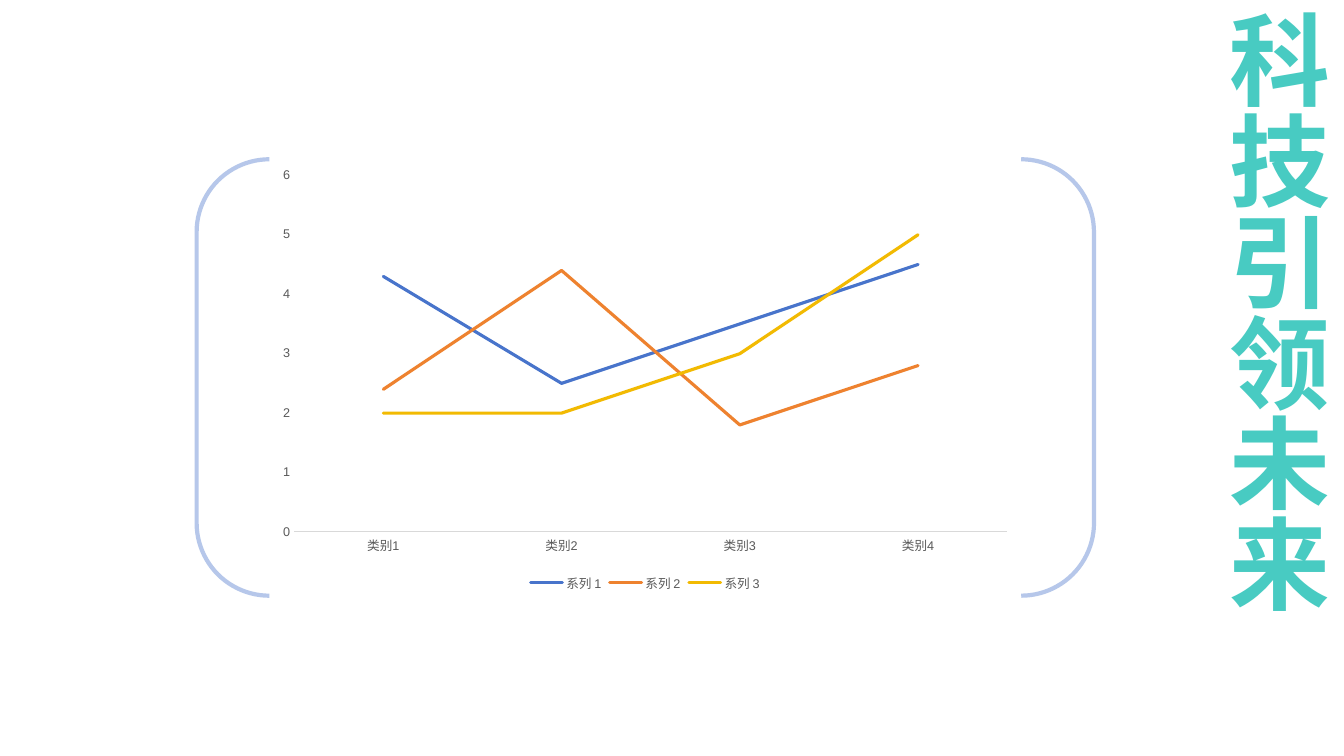
from dataclasses import dataclass

import pptx
import pptx.chart.data
import pptx.dml.color
import pptx.enum.chart
import pptx.enum.shapes
import pptx.enum.text
import pptx.util

SLIDE_WIDTH = pptx.util.Inches(13.33)
SLIDE_HEIGHT = pptx.util.Inches(7.5)


@dataclass(frozen=True)
class Theme:
    font: str = "Arial"
    headline_start: str = "48CBC2"
    headline_end: str = "4874CB"
    bracket: str = "B6C7EA"
    axis_line: str = "D9D9D9"
    chart_text: str = "595959"
    headline_size: float = 72
    chart_size: float = 9
    bracket_width: float = 3
    series_width: float = 2.25
    axis_width: float = 0.75


@dataclass(frozen=True)
class Area:
    """A rectangle given as shares of the slide's width and height."""
    left: float
    top: float
    width: float
    height: float

    def box(self) -> tuple[int, int, int, int]:
        return (
            round(self.left * SLIDE_WIDTH),
            round(self.top * SLIDE_HEIGHT),
            round(self.width * SLIDE_WIDTH),
            round(self.height * SLIDE_HEIGHT),
        )


@dataclass(frozen=True)
class Trend:
    name: str
    values: tuple[float, ...]
    color: str


THEME = Theme()
BRACKET_AREA = Area(0.1463, 0.2107, 0.6677, 0.5773)
CHART_AREA = Area(0.1995, 0.2107, 0.5611, 0.5773)
HEADLINE_AREA = Area(0, 0, 0.9985, 0.9973)
CATEGORIES = [f"类别{number}" for number in range(1, 5)]
TRENDS = (
    Trend("系列 1", (4.3, 2.5, 3.5, 4.5), "4874CB"),
    Trend("系列 2", (2.4, 4.4, 1.8, 2.8), "EE822F"),
    Trend("系列 3", (2, 2, 3, 5), "F2BA02"),
)


def rgb(value: str) -> pptx.dml.color.RGBColor:
    return pptx.dml.color.RGBColor.from_string(value)


def style_line(line, color: str, width: float) -> None:
    line.color.rgb = rgb(color)
    line.width = pptx.util.Pt(width)


def style_chart_font(font) -> None:
    font.name = THEME.font
    font.size = pptx.util.Pt(THEME.chart_size)
    font.color.rgb = rgb(THEME.chart_text)


def add_brackets(slide) -> None:
    brackets = slide.shapes.add_shape(
        pptx.enum.shapes.MSO_SHAPE.DOUBLE_BRACKET, *BRACKET_AREA.box())
    brackets.shadow.inherit = False
    brackets.fill.background()
    style_line(brackets.line, THEME.bracket, THEME.bracket_width)


def add_trend_chart(slide) -> None:
    data = pptx.chart.data.CategoryChartData()
    data.categories = CATEGORIES
    for trend in TRENDS:
        data.add_series(trend.name, trend.values)
    chart = slide.shapes.add_chart(
        pptx.enum.chart.XL_CHART_TYPE.LINE, *CHART_AREA.box(), data).chart
    style_chart_font(chart.font)
    chart.has_title = False

    chart.has_legend = True
    chart.legend.position = pptx.enum.chart.XL_LEGEND_POSITION.BOTTOM
    chart.legend.include_in_layout = False
    style_chart_font(chart.legend.font)

    for axis in (chart.category_axis, chart.value_axis):
        axis.major_tick_mark = pptx.enum.chart.XL_TICK_MARK.NONE
        axis.minor_tick_mark = pptx.enum.chart.XL_TICK_MARK.NONE
        axis.has_major_gridlines = False
        style_chart_font(axis.tick_labels.font)
    style_line(chart.category_axis.format.line, THEME.axis_line, THEME.axis_width)
    chart.value_axis.format.line.fill.background()
    chart.value_axis.minimum_scale = 0
    chart.value_axis.maximum_scale = 6
    chart.value_axis.major_unit = 1

    plot = chart.plots[0]
    plot.vary_by_categories = False
    for series, trend in zip(plot.series, TRENDS):
        series.smooth = False
        series.marker.style = pptx.enum.chart.XL_MARKER_STYLE.NONE
        style_line(series.format.line, trend.color, THEME.series_width)
        for outline in series._element.xpath("./c:spPr/a:ln"):
            outline.set("cap", "rnd")


def add_headline(slide) -> None:
    """Write the headline downwards along the slide's right edge."""
    headline = slide.shapes.add_textbox(*HEADLINE_AREA.box())
    frame = headline.text_frame
    frame.word_wrap = True
    headline.element.txBody.bodyPr.set("vert", "eaVert")
    paragraph = frame.paragraphs[0]
    paragraph.alignment = pptx.enum.text.PP_ALIGN.LEFT
    run = paragraph.add_run()
    run.text = "科技引领未来"
    run.font.name = THEME.font
    run.font.size = pptx.util.Pt(THEME.headline_size)
    run.font.bold = True
    fill = run.font.fill
    fill.gradient()
    fill.gradient_angle = 315
    for stop, color in zip(fill.gradient_stops,
                           (THEME.headline_start, THEME.headline_end)):
        stop.color.rgb = rgb(color)


def main() -> None:
    presentation = pptx.Presentation()
    presentation.slide_width = SLIDE_WIDTH
    presentation.slide_height = SLIDE_HEIGHT
    slide = presentation.slides.add_slide(presentation.slide_layouts[6])
    add_brackets(slide)
    add_trend_chart(slide)
    add_headline(slide)
    presentation.save("out.pptx")


if __name__ == "__main__":
    main()
